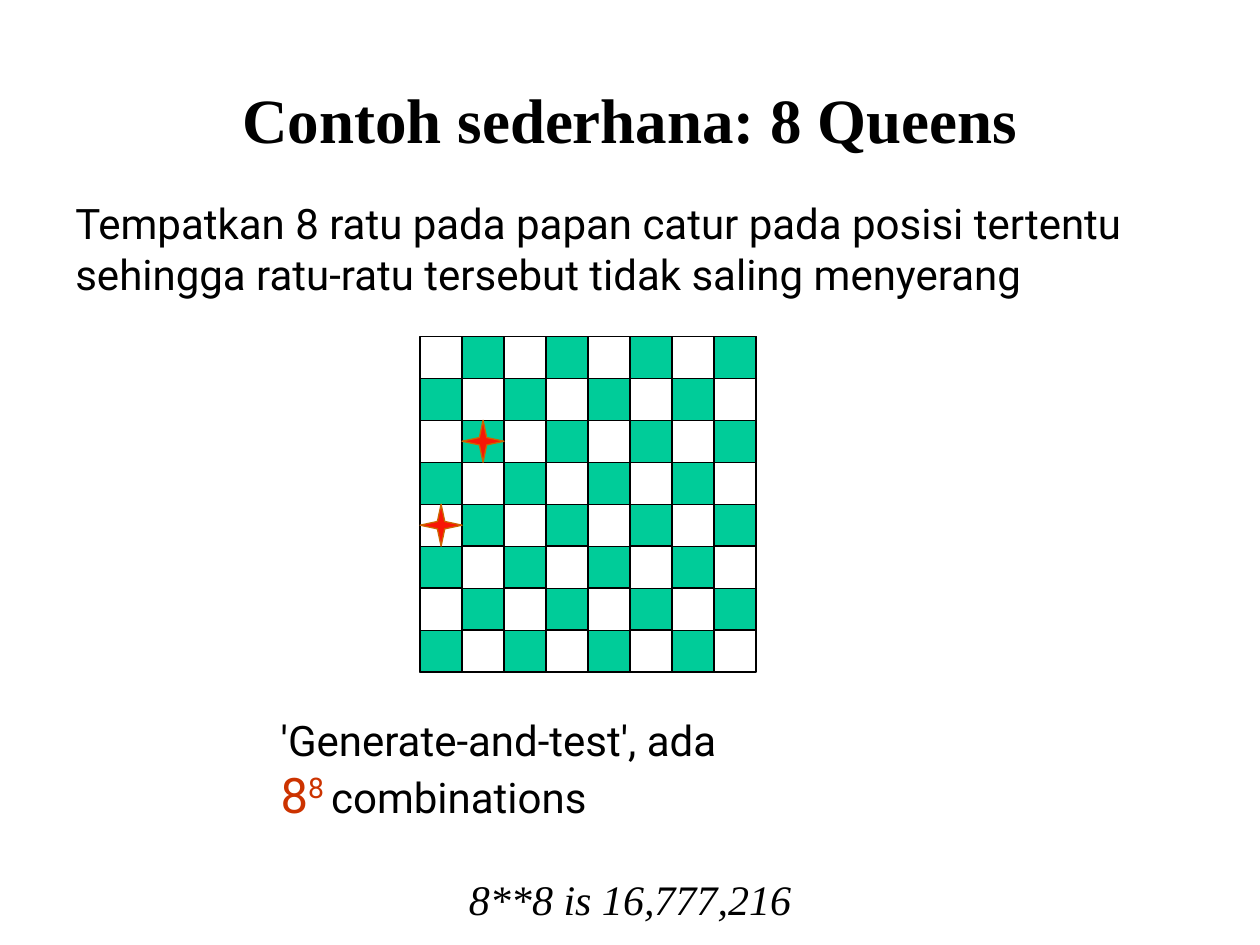
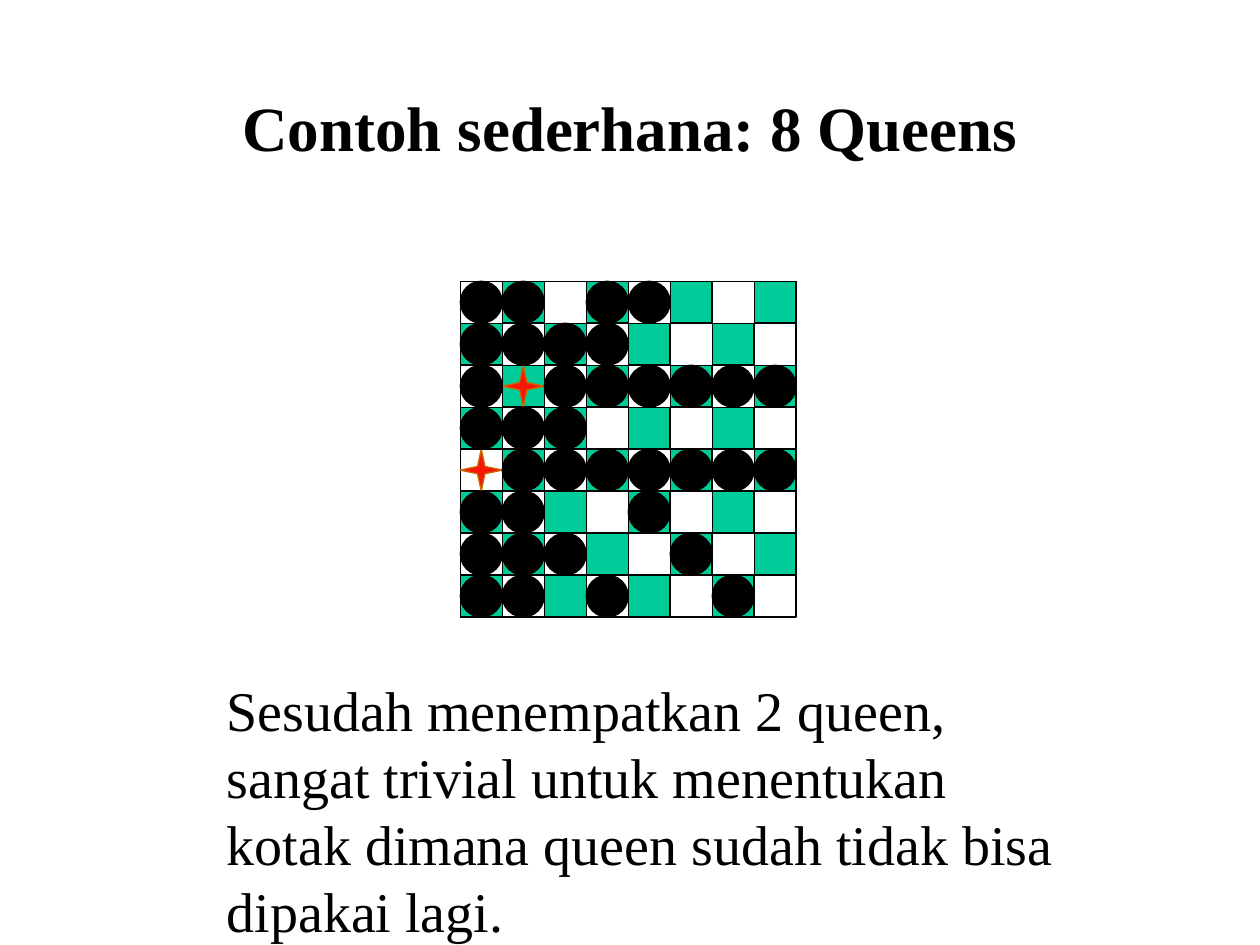
import dataclasses
import pptx
import pptx.dml.color
import pptx.enum.shapes
import pptx.enum.text
import pptx.util

Cm, Pt = pptx.util.Cm, pptx.util.Pt
RGB = pptx.dml.color.RGBColor.from_string
KIND = pptx.enum.shapes.MSO_SHAPE
ALIGN = pptx.enum.text.PP_ALIGN


@dataclasses.dataclass(frozen=True)
class Theme:
    """Colours, fonts and type sizes shared by the slides."""
    ink: str = "000000"
    square: str = "00CC99"
    queen: str = "F81706"
    queen_edge: str = "CC6600"
    accent: str = "CC3300"
    serif: str = "Times New Roman"
    sans: str = "Roboto"
    title: float = 36
    conclusion: float = 32
    power: float = 28
    body: float = 24
    line: float = 0.74


theme = Theme()
TITLE = "Contoh sederhana: 8 Queens"
SIZE = 8
CELL = Cm(6.77) // SIZE
QUEENS = [(4, 0), (2, 1)]  # row, column
SQUARES = [(row, col) for row in range(SIZE) for col in range(SIZE)]
ATTACKED = [
    (row, col) for row, col in SQUARES
    if (row, col) not in QUEENS
    and any(row == r or col == c or abs(row - r) == abs(col - c) for r, c in QUEENS)
]


def add_piece(shapes, kind, corner, square, fill, edge=theme.ink, span=1):
    """Draw a shape over the given square of the board, span squares wide."""
    row, col = square
    piece = shapes.add_shape(kind, corner[0] + col * CELL, corner[1] + row * CELL,
                             span * CELL, span * CELL)
    piece.shadow.inherit = False
    if fill:
        piece.fill.solid()
        piece.fill.fore_color.rgb = RGB(fill)
    else:
        piece.fill.background()
    piece.line.color.rgb = RGB(edge)
    piece.line.width = Pt(theme.line)


def write(frame, lines, face, size, align=ALIGN.LEFT, bold=False, italic=False):
    """Fill a text frame with one paragraph per line and return the paragraphs."""
    frame.word_wrap = True
    frame.auto_size = pptx.enum.text.MSO_AUTO_SIZE.NONE
    frame.text = "\n".join(lines)
    for paragraph in frame.paragraphs:
        paragraph.alignment = align
        font = paragraph.font
        font.name, font.size = face, Pt(size)
        font.bold, font.italic = bold, italic
        font.color.rgb = RGB(theme.ink)
    return frame.paragraphs


deck = pptx.Presentation()
deck.slide_width, deck.slide_height = Cm(25.4), Cm(19.05)

# Both slides: title, chessboard and the two queens
slides = []
for title_top, corner in [(Cm(0.79), (Cm(8.47), Cm(6.78))),
                          (Cm(0.95), (Cm(9.28), Cm(5.67)))]:
    slide = deck.slides.add_slide(deck.slide_layouts[5])
    slides.append(slide)
    title = slide.shapes.title
    title.left, title.top, title.width, title.height = Cm(1.9), title_top, Cm(21.6), Cm(3.18)
    title.text_frame.vertical_anchor = pptx.enum.text.MSO_ANCHOR.MIDDLE
    write(title.text_frame, [TITLE], theme.serif, theme.title, ALIGN.CENTER, bold=True)

    board = slide.shapes.add_group_shape()
    add_piece(board.shapes, KIND.RECTANGLE, corner, (0, 0), None, span=SIZE)
    for row, col in SQUARES:
        if (row + col) % 2:
            add_piece(board.shapes, KIND.RECTANGLE, corner, (row, col), theme.square)
    for queen in QUEENS:
        add_piece(slide.shapes, KIND.STAR_4_POINT, corner, queen, theme.queen, theme.queen_edge)

problem, pruned = slides

# Slide 1: the problem and the size of the search
combinations = problem.shapes.add_textbox(Cm(5.41), Cm(14.27), Cm(10.29), Cm(2.46))
count = write(combinations.text_frame, ["'Generate-and-test', ada", ""],
              theme.sans, theme.body)[1]
base, exponent, noun = [count.add_run() for _ in range(3)]
base.text, exponent.text, noun.text = "8", "8 ", "combinations"
for number in (base, exponent):
    number.font.size = Pt(theme.power)
    number.font.color.rgb = RGB(theme.accent)
exponent._r.get_or_add_rPr().set("baseline", "30000")

task = problem.shapes.add_textbox(Cm(1.27), Cm(3.86), Cm(22.3), Cm(3.3))
write(task.text_frame,
      ["Tempatkan 8 ratu pada papan catur pada posisi tertentu "
       "sehingga ratu-ratu tersebut tidak saling menyerang"],
      theme.sans, theme.body)

total = problem.shapes.add_textbox(Cm(4.14), Cm(17.48), Cm(17.12), Cm(1.27))
write(total.text_frame, ["8**8 is 16,777,216"], theme.serif, theme.body,
      ALIGN.CENTER, italic=True)

# Slide 2: squares the two queens rule out
ruled_out = pruned.shapes.add_group_shape()
for square in ATTACKED:
    add_piece(ruled_out.shapes, KIND.OVAL, corner, square, theme.ink)

conclusion = pruned.shapes.add_textbox(Cm(4.32), Cm(13.49), Cm(17.25), Cm(5.56))
write(conclusion.text_frame,
      ["Sesudah menempatkan 2 queen, sangat trivial untuk menentukan "
       "kotak dimana queen sudah tidak bisa dipakai lagi."],
      theme.serif, theme.conclusion)

deck.save("out.pptx")
